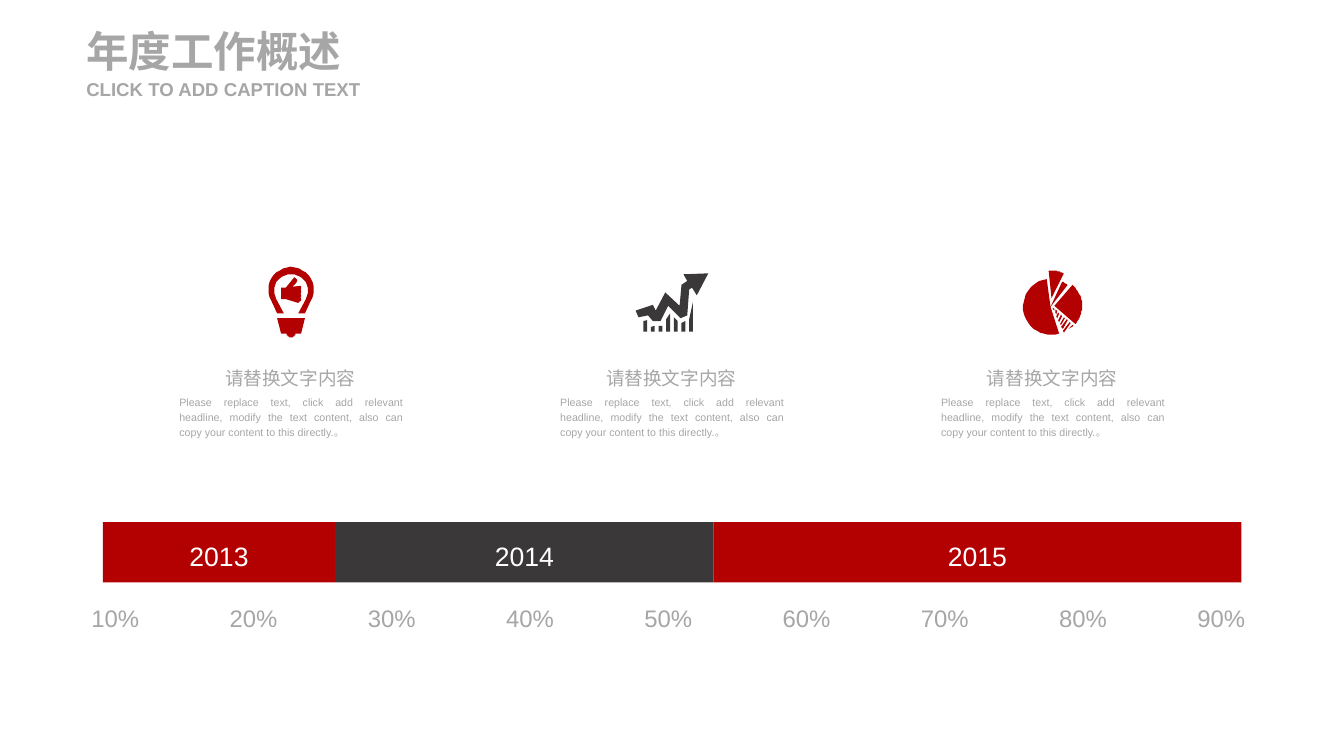
import math
import pptx
import pptx.util
import pptx.dml.color
import pptx.enum.shapes
import pptx.enum.text

Pt = pptx.util.Pt
Color = pptx.dml.color.RGBColor
Align = pptx.enum.text.PP_ALIGN
Anchor = pptx.enum.text.MSO_ANCHOR
Fit = pptx.enum.text.MSO_AUTO_SIZE

theme = {
    "font": "Arial",
    "red": Color(0xB3, 0x00, 0x00),
    "dark": Color(0x3A, 0x38, 0x38),
    "grey": Color(0xA6, 0xA6, 0xA6),
    "white": Color(0xFF, 0xFF, 0xFF),
    "title": 32, "year": 20, "scale": 18, "head": 14, "body": 8,
}


def write(shape, text, size, color="grey", bold=False, align=Align.JUSTIFY,
          space=1.2, wrap=True, anchor=Anchor.TOP, inset=None, fit=Fit.SHAPE_TO_FIT_TEXT):
    frame = shape.text_frame
    frame.word_wrap = wrap
    frame.auto_size = fit
    frame.vertical_anchor = anchor
    if inset is not None:
        frame.margin_left = frame.margin_right = Pt(inset)
        frame.margin_top = frame.margin_bottom = Pt(inset)
    line = frame.paragraphs[0]
    line.alignment = align
    line.line_spacing = space
    run = line.add_run()
    run.text = text
    run.font.name = theme["font"]
    run.font.size = Pt(theme[size])
    run.font.bold = bold
    run.font.color.rgb = theme[color]


def arc(mid_x, mid_y, radius, start, end, steps=24):
    turns = [math.radians(start + (end - start) * i / steps) for i in range(steps + 1)]
    return [(mid_x + radius * math.cos(t), mid_y + radius * math.sin(t)) for t in turns]


deck = pptx.Presentation()
deck.slide_width = Pt(1012.32)
deck.slide_height = Pt(569.52)
slide = deck.slides.add_slide(deck.slide_layouts[6])
shapes = slide.shapes
filled = []

for step in range(9):
    box = shapes.add_textbox(Pt(61.7 + 104.13 * step), Pt(446.6), Pt(51), Pt(31))
    write(box, f"{10 * (step + 1)}%", "scale", wrap=False)

left = 77.5
for year, width, color in [("2013", 175, "red"), ("2014", 285, "dark"), ("2015", 397.5, "red")]:
    bar = shapes.add_shape(pptx.enum.shapes.MSO_SHAPE.RECTANGLE,
                           Pt(left), Pt(393.3), Pt(width), Pt(45.4))
    filled.append((bar, color))
    write(bar, year, "year", color="white", align=Align.CENTER,
          anchor=Anchor.MIDDLE, fit=Fit.NONE)
    left += width

slices = [(33, 37, -48, 42), (29, 38, 72, 262), (29, 38, -65, -51), (30, 29, -96, -63)]
pie = [[(x, y)] + arc(x, y, 29, start, end) for x, y, start, end in slices]
for i in range(7):
    x, y = 50 - 2.9 * i, 55 - 2.5 * i
    low_x, low_y = 42 - 1.7 * i, 63 - 3.7 * i
    pie.append([(x, y), (x - 1.4, y - 1.3), (low_x, low_y), (low_x + 1.3, low_y + 1.6)])
tip = [(53, 58), (48, 61), (52, 57)]
pie.append(tip)

upper = [(0, 39), (18, 33), (21, 39), (31, 20), (46, 34), (48, 12), (54, 8)]
point = [(50, 1), (76, 0), (64, 23), (59, 15)]
lower = [(56, 17), (54, 44), (47, 47), (34, 34), (26, 50), (18, 50), (13, 44), (3, 46)]
trend = [upper + point + lower]
tops = [(50, 49), (56, 55), (55, 55), (48, 42), (46, 50), (52, 50), (48, 30)]
for i, (start, end) in enumerate(tops):
    x = 8 + 8 * i
    trend.append([(x, 61), (x, start), (x + 4, end), (x + 4, 61)])

outer = arc(25.5, 24, 23.5, 150, 390)
inner = arc(25.5, 25, 17.5, 390, 150)
glass = outer + [(40, 49), (33, 49)] + inner + [(18, 49), (11, 49)]
socket = [(15, 70), (11, 54), (40, 54), (36, 70)] + arc(25.5, 69, 5, 10, 170)
thumb = [(15, 34), (15, 22), (20, 22), (29, 11), (32, 14), (31, 17), (27, 21)]
hand = thumb + [(36, 20)]
for i in range(4):
    y = 21 + 4 * i
    hand += [(36.5, y), (36.5, y + 3), (35.3, y + 3.5)]
hand += [(33, 38), (20, 34)]
bulb = [glass, socket, hand]

icons = [(pie, 770.4, 203.8, "red"), (trend, 478.8, 205.9, "dark"), (bulb, 200.9, 200.9, "red")]
for parts, left, top, color in icons:
    pen = shapes.build_freeform(*parts[0][0], scale=Pt(0.72))
    for part in parts:
        pen.move_to(*part[0])
        pen.add_line_segments(part[1:], close=True)
    filled.append((pen.convert_to_shape(Pt(left), Pt(top)), color))

for shape, color in filled:
    shape.shadow.inherit = False
    shape.fill.solid()
    shape.fill.fore_color.rgb = theme[color]
    shape.line.fill.background()

for col in range(3):
    left = 128 + 286.9 * col
    group = shapes.add_group_shape()
    head = group.shapes.add_textbox(Pt(left + 34.5), Pt(269.6), Pt(113.8), Pt(26))
    write(head, "请替换文字内容", "head", wrap=False)
    body = group.shapes.add_textbox(Pt(left), Pt(292.5), Pt(182.9), Pt(42.5))
    write(body, "Please replace text, click add relevant headline, modify the text content, "
          "also can copy your content to this directly.。", "body")

for text, top, height, size in [("年度工作概述", 18.7, 38.9, "title"),
                                ("CLICK TO ADD CAPTION TEXT", 58.3, 17.3, "head")]:
    box = shapes.add_textbox(Pt(65), Pt(top), Pt(221), Pt(height))
    write(box, text, size, bold=True, align=Align.LEFT, space=1.0,
          anchor=Anchor.MIDDLE, inset=0)

deck.save("out.pptx")
